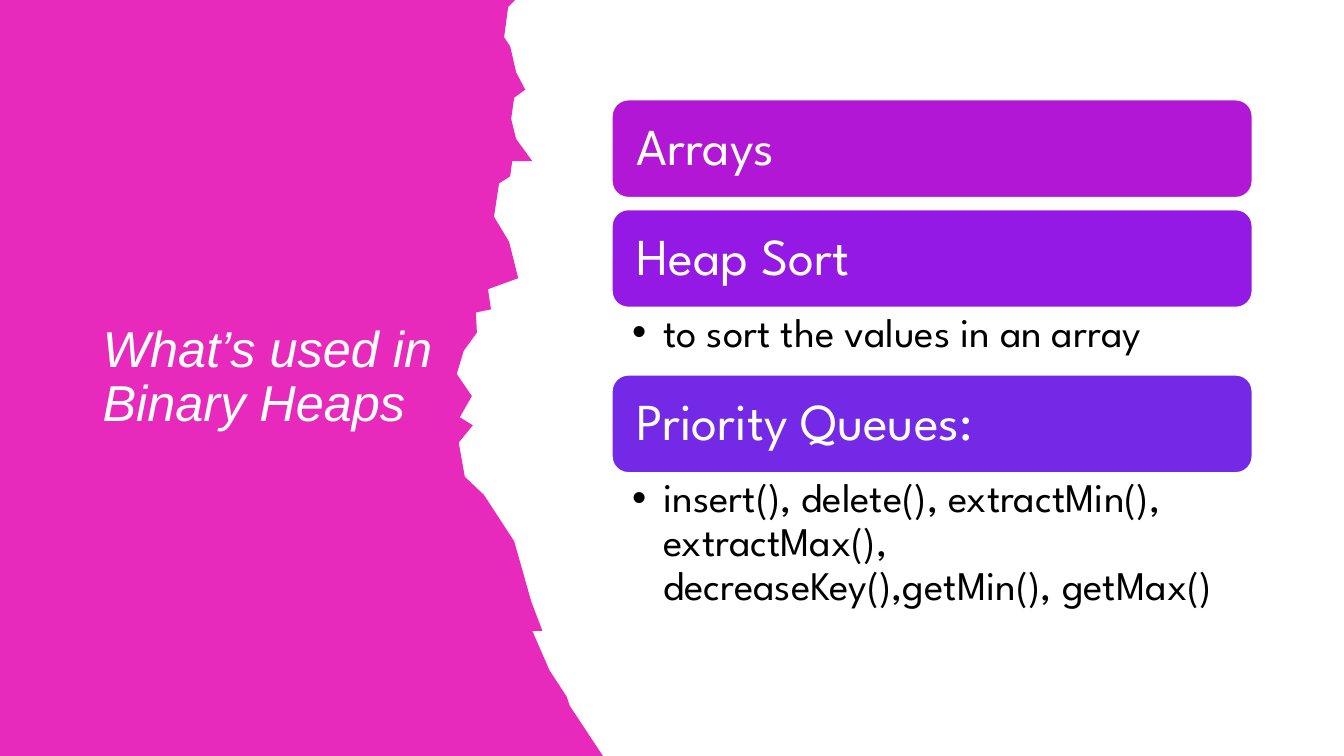
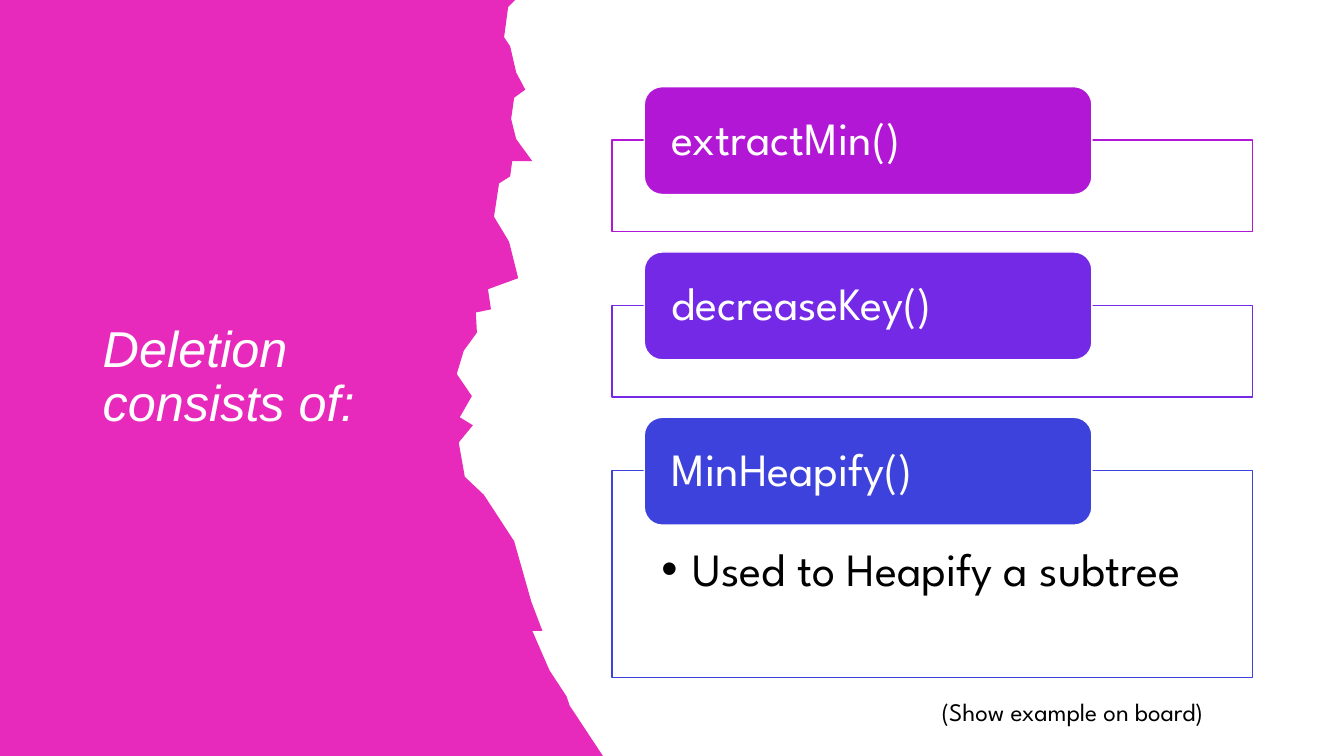
from dataclasses import dataclass

from lxml import etree
from pptx import Presentation
from pptx.dml.color import RGBColor
from pptx.enum.shapes import MSO_SHAPE
from pptx.enum.text import MSO_ANCHOR, PP_ALIGN
from pptx.oxml.ns import qn
from pptx.util import Inches, Pt

RECTANGLE = MSO_SHAPE.RECTANGLE
ROUNDED = MSO_SHAPE.ROUNDED_RECTANGLE
MIDDLE, TOP = MSO_ANCHOR.MIDDLE, MSO_ANCHOR.TOP
LEFT = PP_ALIGN.LEFT


@dataclass(frozen=True)
class Theme:
    pink: str = "E729BC"
    magenta: str = "B117D5"
    purple: str = "9419E5"
    violet: str = "7429E7"
    blue: str = "3E42DC"
    white: str = "FFFFFF"
    black: str = "000000"
    title_font: str = "Arial"
    body_font: str = "League Spartan"
    title_size: int = 36
    bar_size: int = 37
    detail_size: int = 29
    tab_size: int = 33
    note_size: int = 18
    outline: int = 1


THEME = Theme()


@dataclass(frozen=True)
class Area:
    left: float
    top: float
    width: float
    height: float

    def lengths(self):
        return (Inches(self.left), Inches(self.top),
                Inches(self.width), Inches(self.height))


@dataclass(frozen=True)
class TextStyle:
    size: int
    color: str
    font: str = THEME.body_font
    italic: bool = False
    anchor: MSO_ANCHOR = TOP
    insets: tuple = (0.1, 0.05, 0.1, 0.05)
    bullet: bool = False
    line_spacing: float = 0.9


@dataclass(frozen=True)
class Topic:
    label: str
    color: str
    detail: str = ""
    detail_height: float = 0


TITLE_STYLE = TextStyle(THEME.title_size, THEME.white, THEME.title_font,
                        italic=True, anchor=MIDDLE)
BAR_STYLE = TextStyle(THEME.bar_size, THEME.white, anchor=MIDDLE,
                      insets=(0.2, 0.2, 0.2, 0.2))
DETAIL_STYLE = TextStyle(THEME.detail_size, THEME.black,
                         insets=(0.2, 0.05, 0.29, 0.05), bullet=True)
TAB_STYLE = TextStyle(THEME.tab_size, THEME.white, anchor=MIDDLE,
                      insets=(0.22, 0.05, 0.22, 0.05))
FRAME_STYLE = TextStyle(THEME.tab_size, THEME.black,
                        insets=(0.49, 0.75, 0.49, 0.26), bullet=True)
NOTE_STYLE = TextStyle(THEME.note_size, THEME.black, line_spacing=1.0)

PAGE_WIDTH, PAGE_HEIGHT = 13.33, 7.5
TITLE_AREA = Area(0.92, 0.78, 3.5, 5.94)
NOTE_AREA = Area(9.24, 6.86, 3.84, 0.6)
CONTENT_LEFT, CONTENT_WIDTH = 6.07, 6.35
BAR_TOP, BAR_HEIGHT, BAR_GAP = 0.99, 0.97, 0.12
FRAME_TOP, FRAME_HEIGHT, FRAME_GAP = 1.39, 0.91, 0.73
TAB_RISE, TAB_INDENT, TAB_WIDTH, TAB_HEIGHT = 0.53, 0.32, 4.44, 1.07
BULLET_INDENT = 0.31

TORN_EDGE = (
    (5.11, 0), (5.04, 0.07), (5, 0.37), (5.06, 0.46), (5.12, 0.72),
    (5.21, 0.89), (5.1, 0.97), (5.07, 1.18), (5.12, 1.38), (5.28, 1.6),
    (5.08, 1.6), (5.06, 1.75), (4.95, 1.82), (4.9, 2.15), (5.05, 2.4),
    (5.14, 2.76), (4.84, 2.87), (4.87, 3.07), (4.72, 3.1), (4.73, 3.3),
    (4.6, 3.48), (4.53, 3.71), (4.68, 3.93), (4.56, 4.14), (4.69, 4.22),
    (4.55, 4.39), (4.61, 4.73), (4.8, 4.91), (5.1, 5.37), (5.27, 5.97),
    (5.38, 6.26), (5.28, 6.26), (5.45, 6.65), (5.62, 6.91), (5.65, 7),
    (5.98, PAGE_HEIGHT),
)

HEAP_USES = (
    Topic("Arrays", THEME.magenta),
    Topic("Heap Sort", THEME.purple, "to sort the values in an array", 0.67),
    Topic("Priority Queues:", THEME.violet,
          "insert(), delete(), extractMin(), extractMax(), "
          "decreaseKey(),getMin(), getMax()", 1.88),
)
DELETION_STEPS = (
    Topic("extractMin()", THEME.magenta),
    Topic("decreaseKey()", THEME.violet),
    Topic("MinHeapify()", THEME.blue, "Used to Heapify a subtree", 1.14),
)


def add_bullet(para) -> None:
    properties = para._p.get_or_add_pPr()
    properties.set("marL", str(Inches(BULLET_INDENT)))
    properties.set("indent", str(-Inches(BULLET_INDENT)))
    etree.SubElement(properties, qn("a:buFont")).set("typeface", THEME.title_font)
    etree.SubElement(properties, qn("a:buChar")).set("char", "•")


def write_text(box, text: str, style: TextStyle) -> None:
    frame = box.text_frame
    frame.text = text
    frame.word_wrap = True
    frame.vertical_anchor = style.anchor
    (frame.margin_left, frame.margin_top,
     frame.margin_right, frame.margin_bottom) = map(Inches, style.insets)
    para = frame.paragraphs[0]
    para.alignment = LEFT
    para.line_spacing = style.line_spacing
    if style.bullet:
        add_bullet(para)
    for span in para.runs:
        span.font.name = style.font
        span.font.size = Pt(style.size)
        span.font.italic = style.italic
        span.font.color.rgb = RGBColor.from_string(style.color)


def add_text(page, area: Area, text: str, style: TextStyle) -> None:
    write_text(page.shapes.add_textbox(*area.lengths()), text, style)


def paint(shape, fill: str, line: str = "") -> None:
    shape.shadow.inherit = False
    shape.fill.solid()
    shape.fill.fore_color.rgb = RGBColor.from_string(fill)
    if line:
        shape.line.color.rgb = RGBColor.from_string(line)
        shape.line.width = Pt(THEME.outline)
    else:
        shape.line.fill.background()


def add_block(page, kind: MSO_SHAPE, area: Area, fill: str, line: str,
              text: str, style: TextStyle) -> None:
    block = page.shapes.add_shape(kind, *area.lengths())
    paint(block, fill, line)
    if text:
        write_text(block, text, style)


def add_torn_panel(page) -> None:
    edge = [(Inches(x), Inches(y)) for x, y in TORN_EDGE]
    builder = page.shapes.build_freeform(0, 0)
    builder.add_line_segments(edge + [(0, Inches(PAGE_HEIGHT))], close=True)
    paint(builder.convert_to_shape(), THEME.pink)


def add_page(deck, title: str):
    page = deck.slides.add_slide(deck.slide_layouts[6])
    add_torn_panel(page)
    add_text(page, TITLE_AREA, title, TITLE_STYLE)
    return page


def add_bars(page, topics: tuple) -> None:
    top = BAR_TOP
    for topic in topics:
        bar = Area(CONTENT_LEFT, top, CONTENT_WIDTH, BAR_HEIGHT)
        add_block(page, ROUNDED, bar, topic.color, THEME.white,
                  topic.label, BAR_STYLE)
        top += BAR_HEIGHT
        if topic.detail:
            detail = Area(CONTENT_LEFT, top, CONTENT_WIDTH, topic.detail_height)
            add_text(page, detail, topic.detail, DETAIL_STYLE)
        top += topic.detail_height or BAR_GAP


def add_tabbed_frames(page, topics: tuple) -> None:
    top = FRAME_TOP
    for topic in topics:
        height = FRAME_HEIGHT + topic.detail_height
        frame = Area(CONTENT_LEFT, top, CONTENT_WIDTH, height)
        tab = Area(CONTENT_LEFT + TAB_INDENT, top - TAB_RISE,
                   TAB_WIDTH, TAB_HEIGHT)
        add_block(page, RECTANGLE, frame, THEME.white, topic.color,
                  topic.detail, FRAME_STYLE)
        add_block(page, ROUNDED, tab, topic.color, THEME.white,
                  topic.label, TAB_STYLE)
        top += height + FRAME_GAP


def main() -> None:
    deck = Presentation()
    deck.slide_width = Inches(PAGE_WIDTH)
    deck.slide_height = Inches(PAGE_HEIGHT)
    add_bars(add_page(deck, "What’s used in Binary Heaps"), HEAP_USES)
    deletion_page = add_page(deck, "Deletion consists of:")
    add_tabbed_frames(deletion_page, DELETION_STEPS)
    add_text(deletion_page, NOTE_AREA, "(Show example on board)", NOTE_STYLE)
    deck.save("out.pptx")


if __name__ == "__main__":
    main()
